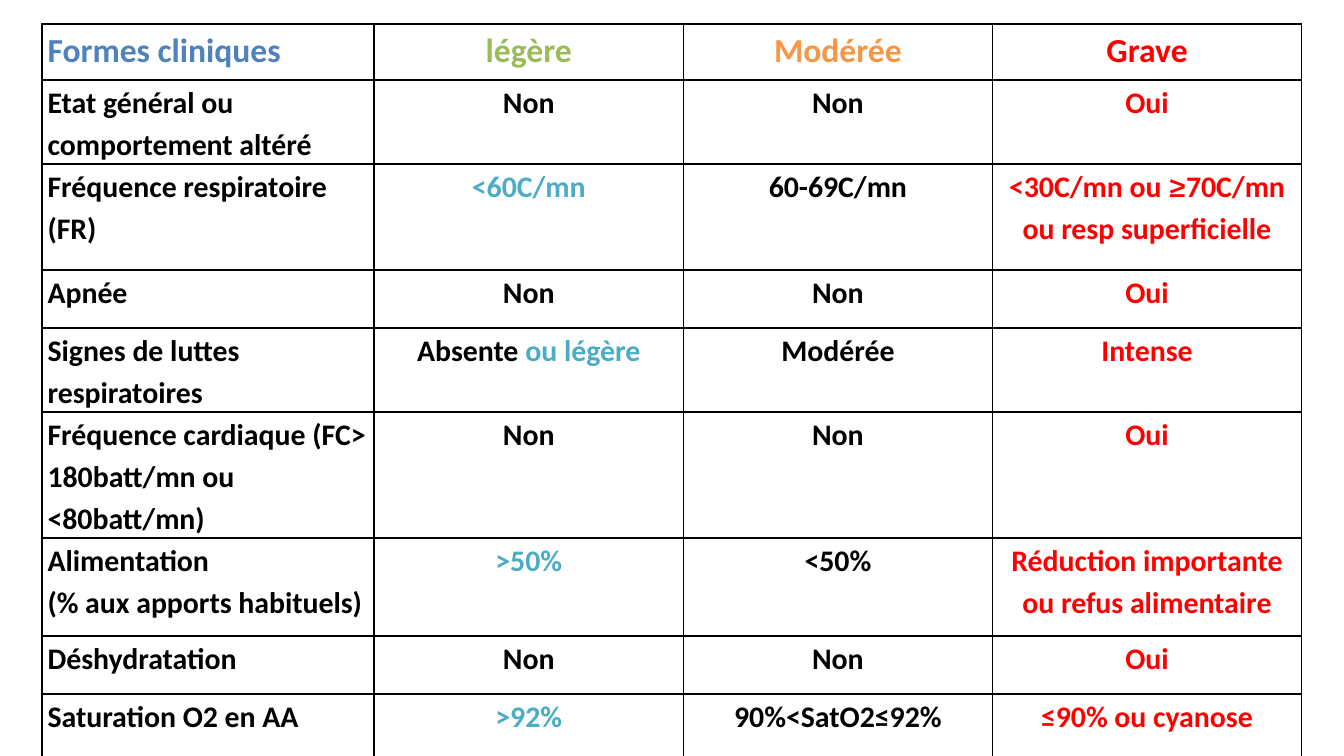
"""Build a slide with a table grading the clinical forms by severity."""
from lxml import etree
from pptx import Presentation
from pptx import util as u
from pptx.dml.color import RGBColor
from pptx.enum import text
from pptx.oxml.ns import qn

Pt = u.Pt
HUES = {"black": "000000", "title": "4F81BD", "green": "9BBB59",
        "orange": "F79646", "red": "FF0000", "blue": "4BACC6"}
HEADS = ["title", "green", "orange", "red"]
BODY = ["black", "blue", "black", "red"]
WIDTHS = [178, 165.6, 165.6, 165.6]
ROWS = [
    (29.8, ["Formes cliniques", "légère", "Modérée", "Grave"]),
    (37.7, ["Etat général ou comportement altéré", "Non", "Non", "Oui"]),
    (56.9, ["Fréquence respiratoire (FR)", "<60C/mn", "60-69C/mn",
            [("<30C/mn ou ", "red", "Calibri"), ("≥", "red", "Cambria"),
             ("70C/mn ou resp superficielle", "red", "Calibri")]]),
    (31, ["Apnée", "Non", "Non", "Oui"]),
    (40.3, ["Signes de luttes respiratoires",
            [("Absente ", "black", "Calibri"), ("ou légère", "blue", "Calibri")],
            "Modérée", "Intense"]),
    (56.2, ["Fréquence cardiaque (FC> 180batt/mn ou <80batt/mn)",
            "Non", "Non", "Oui"]),
    (52.6, ["Alimentation\n(% aux apports habituels)", ">50%", "<50%",
            "Réduction importante ou refus alimentaire"]),
    (31, ["Déshydratation", "Non", "Non", "Oui"]),
    (40.3, ["Saturation O2 en AA", ">92%", "90%<SatO2≤92%",
            "≤90% ou cyanose"]),
]


def style(font, hue, face):
    font.color.rgb = RGBColor.from_string(HUES[hue])
    font.name = face


def border(cell):
    props = cell._tc.get_or_add_tcPr()
    for side in ("a:lnL", "a:lnR", "a:lnT", "a:lnB"):
        line = etree.SubElement(props, qn(side), w=str(Pt(1)))
        fill = etree.SubElement(line, qn("a:solidFill"))
        etree.SubElement(fill, qn("a:srgbClr"), val=HUES["black"])


deck = Presentation()
deck.slide_width, deck.slide_height = Pt(720), Pt(405)
slide = deck.slides.add_slide(deck.slide_layouts[6])
frame = slide.shapes.add_table(len(ROWS), len(WIDTHS), Pt(22.5), Pt(13),
                               Pt(sum(WIDTHS)), Pt(sum(row[0] for row in ROWS)))
table = frame.table
table.first_row = table.horz_banding = False
for col, width in zip(table.columns, WIDTHS):
    col.width = Pt(width)

for i, (height, items) in enumerate(ROWS):
    table.rows[i].height = Pt(height)
    for j, item in enumerate(items):
        cell = table.cell(i, j)
        border(cell)
        cell.fill.background()
        cell.margin_left = cell.margin_right = Pt(3)
        cell.margin_top = cell.margin_bottom = 0
        hue = HEADS[j] if i == 0 else "black" if item == "Non" else BODY[j]
        lines = item.split("\n") if isinstance(item, str) else [item]
        for n, line in enumerate(lines):
            para = cell.text_frame.add_paragraph() if n else cell.text_frame.paragraphs[0]
            para.line_spacing = 1.15
            para.alignment = text.PP_ALIGN.CENTER if j else text.PP_ALIGN.LEFT
            para.font.size = Pt(16 if i else 18)
            para.font.bold = True
            if isinstance(line, str):
                para.add_run().text = line
                style(para.font, hue, "Calibri")
            else:
                for words, tint, face in line:
                    run = para.add_run()
                    run.text = words
                    style(run.font, tint, face)

deck.save("out.pptx")
